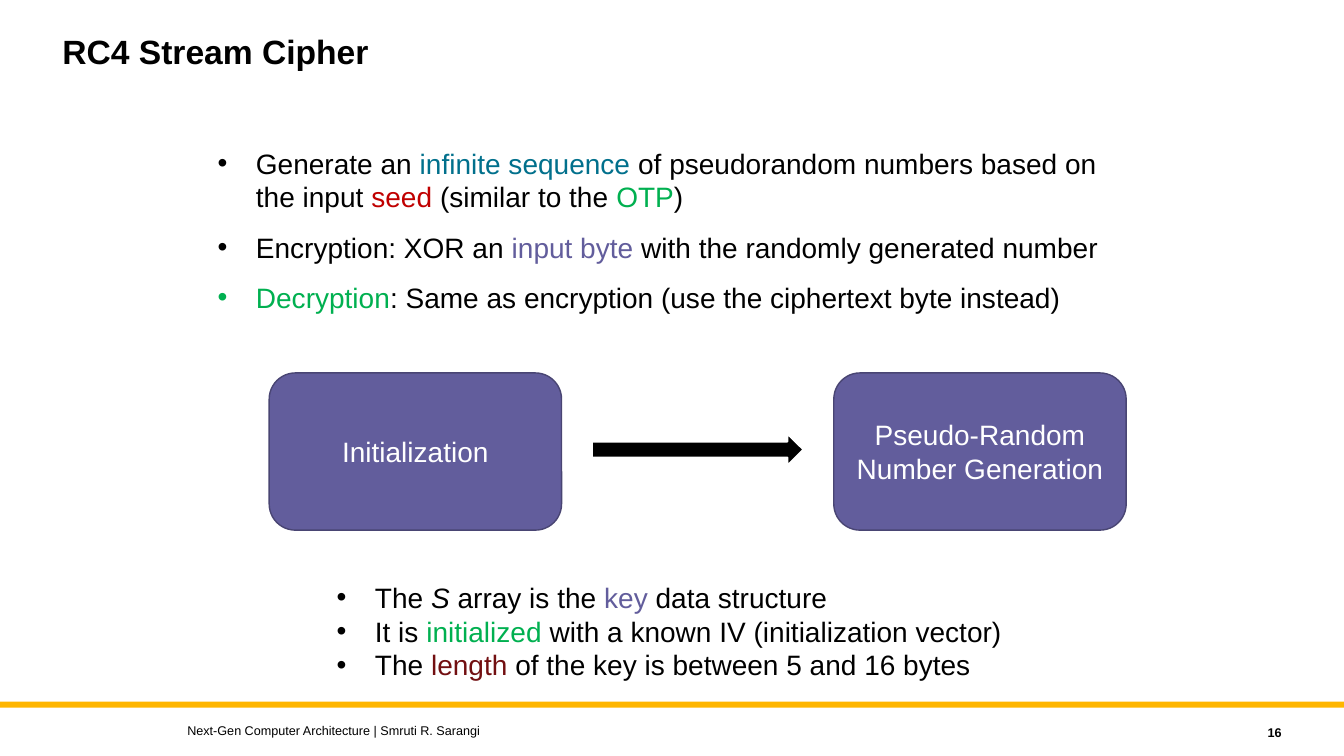
from dataclasses import dataclass

from lxml.etree import SubElement
from pptx import Presentation
from pptx.dml.color import RGBColor
from pptx.enum.shapes import MSO_SHAPE
from pptx.enum.text import MSO_ANCHOR, PP_ALIGN
from pptx.oxml.ns import qn
from pptx.util import Inches, Pt


@dataclass(frozen=True)
class Theme:
    font: str = "Arial"
    black: str = "000000"
    white: str = "FFFFFF"
    gold: str = "FFB600"
    purple: str = "625D9C"
    purple_edge: str = "494573"
    teal: str = "01708C"
    red: str = "C00000"
    maroon: str = "720F11"
    green: str = "00B050"
    title_size: int = 24
    body_size: int = 20
    footer_size: int = 9


THEME = Theme()


@dataclass(frozen=True)
class Area:
    left: float
    top: float
    width: float
    height: float

    def lengths(self):
        return [Inches(v) for v in (self.left, self.top, self.width, self.height)]


@dataclass(frozen=True)
class Span:
    text: str
    color: str = THEME.black
    bold: bool = False
    italic: bool = False


@dataclass(frozen=True)
class TextStyle:
    size: int = THEME.body_size
    align: PP_ALIGN = PP_ALIGN.LEFT
    anchor: MSO_ANCHOR = MSO_ANCHOR.TOP
    line_spacing: float = 1.0
    gap: int = 0
    bullet: bool = False
    wrap: bool = True


@dataclass(frozen=True)
class TextBlock:
    area: Area
    paragraphs: list[list[Span]]
    style: TextStyle


@dataclass(frozen=True)
class Stage:
    left: float
    label: str


def add_bullet(para) -> None:
    properties = para._p.get_or_add_pPr()
    indent = Inches(0.38)
    properties.set("marL", str(indent))
    properties.set("indent", str(-indent))
    SubElement(properties, qn("a:buFont"), typeface=THEME.font)
    SubElement(properties, qn("a:buChar"), char="•")


def write_text(box, paragraphs: list[list[Span]], style: TextStyle) -> None:
    frame = box.text_frame
    frame.word_wrap = style.wrap
    frame.vertical_anchor = style.anchor
    for index, spans in enumerate(paragraphs):
        para = frame.add_paragraph() if index else frame.paragraphs[0]
        if style.bullet:
            add_bullet(para)
        para.alignment = style.align
        para.line_spacing = style.line_spacing
        para.space_before = Pt(style.gap if index else 0)
        for span in spans:
            run = para.add_run()
            run.text = span.text
            formats = {"name": THEME.font, "size": Pt(style.size),
                       "bold": span.bold, "italic": span.italic}
            for name, value in formats.items():
                setattr(run.font, name, value)
            run.font.color.rgb = RGBColor.from_string(span.color)


def add_text(page, block: TextBlock) -> None:
    box = page.shapes.add_textbox(*block.area.lengths())
    write_text(box, block.paragraphs, block.style)


def add_block(page, kind: MSO_SHAPE, area: Area, fill: str,
              edge: str | None = None, edge_width: float = 1):
    shape = page.shapes.add_shape(kind, *area.lengths())
    shape.shadow.inherit = False
    shape.fill.solid()
    shape.fill.fore_color.rgb = RGBColor.from_string(fill)
    if edge is None:
        shape.line.fill.background()
    else:
        shape.line.color.rgb = RGBColor.from_string(edge)
        shape.line.width = Pt(edge_width)
    return shape


TEXT_BLOCKS = [
    TextBlock(Area(0.52, 0.3, 10, 0.9), [[Span("RC4 Stream Cipher", bold=True)]],
              TextStyle(THEME.title_size, line_spacing=0.9)),
    TextBlock(Area(2.06, 1.4, 9.22, 1.86), [
        [Span("Generate an "), Span("infinite sequence", THEME.teal),
         Span(" of pseudorandom numbers based on the input "),
         Span("seed", THEME.red), Span(" (similar to the "),
         Span("OTP", THEME.green), Span(")")],
        [Span("Encryption: XOR an "), Span("input byte ", THEME.purple),
         Span("with the randomly generated number")],
        [Span("Decryption", THEME.green),
         Span(": Same as encryption (use the ciphertext byte instead)")],
    ], TextStyle(gap=12, bullet=True)),
    TextBlock(Area(3.24, 5.71, 6.85, 1.11), [
        [Span("The "), Span("S ", italic=True), Span("array is the "),
         Span("key", THEME.purple), Span(" data structure")],
        [Span("It is "), Span("initialized", THEME.green),
         Span(" with a known IV (initialization vector)")],
        [Span("The "), Span("length", THEME.maroon),
         Span(" of the key is between 5 and 16 bytes")],
    ], TextStyle(bullet=True, wrap=False)),
    TextBlock(Area(1.76, 7.12, 8, 0.25),
              [[Span("Next-Gen Computer Architecture | Smruti R. Sarangi")]],
              TextStyle(THEME.footer_size, anchor=MSO_ANCHOR.MIDDLE)),
    TextBlock(Area(11.41, 7.14, 1.4, 0.25), [[Span("16", bold=True)]],
              TextStyle(THEME.footer_size, PP_ALIGN.RIGHT, MSO_ANCHOR.MIDDLE)),
]

STAGES = [Stage(2.67, "Initialization"),
          Stage(8.27, "Pseudo-Random Number Generation")]


def main() -> None:
    deck = Presentation()
    deck.slide_width, deck.slide_height = Inches(13.33), Inches(7.5)
    page = deck.slides.add_slide(deck.slide_layouts[6])

    add_block(page, MSO_SHAPE.RECTANGLE, Area(0, 6.96, 13.33, 0.06), THEME.gold)
    for block in TEXT_BLOCKS:
        add_text(page, block)

    stage_style = TextStyle(align=PP_ALIGN.CENTER, anchor=MSO_ANCHOR.MIDDLE)
    for stage in STAGES:
        box = add_block(page, MSO_SHAPE.ROUNDED_RECTANGLE,
                        Area(stage.left, 3.7, 2.9, 1.56),
                        THEME.purple, THEME.purple_edge)
        write_text(box, [[Span(stage.label, THEME.white)]], stage_style)
    add_block(page, MSO_SHAPE.RIGHT_ARROW, Area(5.87, 4.3, 2.1, 0.32),
              THEME.black, THEME.white, 1.5)

    deck.save("out.pptx")


if __name__ == "__main__":
    main()
